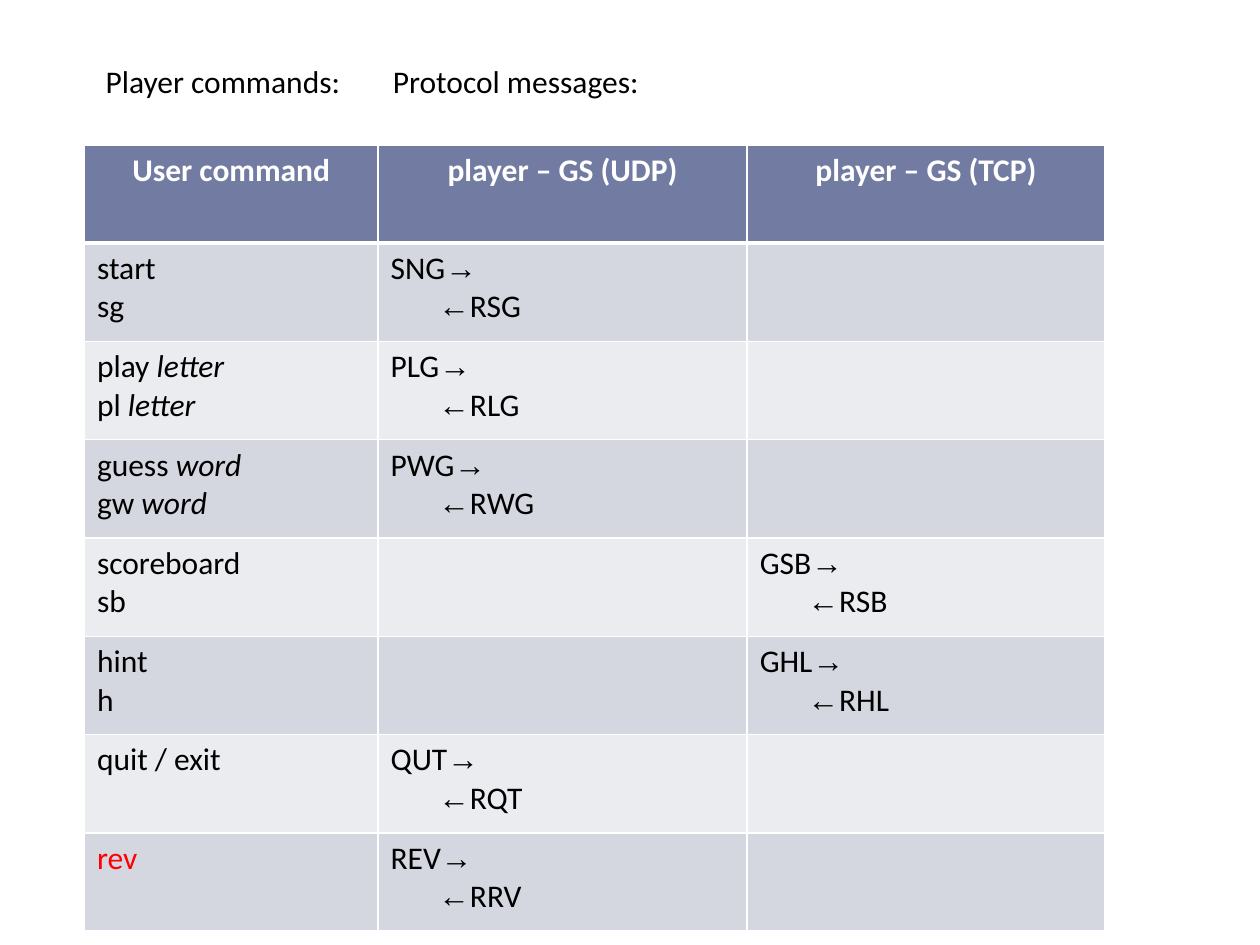
from lxml import etree
from pptx import Presentation
from pptx.dml.color import RGBColor
from pptx.enum import text
from pptx.oxml import ns
from pptx.util import Inches, Pt

WHITE = RGBColor(0xFF, 0xFF, 0xFF)
BLACK = RGBColor(0x00, 0x00, 0x00)
RED = RGBColor(0xFF, 0x00, 0x00)
HEADER = RGBColor(0x72, 0x7C, 0xA3)
BANDS = [RGBColor(0xD5, 0xD7, 0xE0), RGBColor(0xEB, 0xEC, 0xF0)]

COLUMNS = [("User command", 2.33), ("player – GS (UDP)", 2.93), ("player – GS (TCP)", 2.84)]
ROW_HEIGHT = 0.78
UDP, TCP = 1, 2

# Command lines as (word, argument), protocol column, request, reply, colour
COMMANDS = [
    ([("start", ""), ("sg", "")], UDP, "SNG", "RSG", BLACK),
    ([("play ", "letter"), ("pl ", "letter")], UDP, "PLG", "RLG", BLACK),
    ([("guess ", "word"), ("gw ", "word")], UDP, "PWG", "RWG", BLACK),
    ([("scoreboard", ""), ("sb", "")], TCP, "GSB", "RSB", BLACK),
    ([("hint", ""), ("h", "")], TCP, "GHL", "RHL", BLACK),
    ([("quit / exit", "")], UDP, "QUT", "RQT", BLACK),
    ([("rev", "")], UDP, "REV", "RRV", RED),
]


def add_text(p, content, font="Calibri", color=BLACK, bold=False, italic=False):
    r = p.add_run()
    r.text = content
    f = r.font
    f.name, f.size, f.bold, f.italic = font, Pt(18), bold, italic
    f.color.rgb = color


def add_line(parent, tag, **attrs):
    return etree.SubElement(parent, ns.qn(tag), attrs)


def style_cell(cell, fill, top=0.96, bottom=0.96):
    tc_pr = cell._tc.get_or_add_tcPr()
    for side, width in (("L", 0.96), ("R", 0.96), ("T", top), ("B", bottom)):
        ln = add_line(tc_pr, f"a:ln{side}", w=str(Pt(width)))
        solid = add_line(ln, "a:solidFill")
        add_line(solid, "a:srgbClr", val=str(WHITE))
    cell.fill.solid()
    cell.fill.fore_color.rgb = fill


def write_command(cell, lines, color):
    p = cell.text_frame.paragraphs[0]
    for i, (word, argument) in enumerate(lines):
        if i:
            p.add_line_break()
        add_text(p, word, color=color)
        if argument:
            add_text(p, argument, color=color, italic=True)


def write_exchange(cell, request, reply):
    tf = cell.text_frame
    p = tf.paragraphs[0]
    add_text(p, request)
    add_text(p, "→", font="Arial")
    p = tf.add_paragraph()
    p._p.get_or_add_pPr().set("marL", str(Inches(0.38)))
    add_text(p, "←", font="Arial")
    add_text(p, reply)


def add_caption(slide):
    sp = slide.shapes.add_textbox(Inches(0.74), Inches(0.44), Inches(8.11), Inches(0.4))
    tf = sp.text_frame
    tf.word_wrap = True
    tf.auto_size = text.MSO_AUTO_SIZE.SHAPE_TO_FIT_TEXT
    p = tf.paragraphs[0]
    tabs = add_line(p._p.get_or_add_pPr(), "a:tabLst")
    add_line(tabs, "a:tab", pos=str(Inches(2.28)), algn="l")
    add_text(p, "Player commands:\tProtocol messages:")


def add_command_table(slide):
    rows = len(COMMANDS) + 1
    width = sum(w for _, w in COLUMNS)
    table = slide.shapes.add_table(rows, len(COLUMNS), Inches(0.67), Inches(1.15),
                                   Inches(width), Inches(rows * ROW_HEIGHT)).table
    for row in table.rows:
        row.height = Inches(ROW_HEIGHT)

    # Header row
    for c, (title, col_width) in enumerate(COLUMNS):
        table.columns[c].width = Inches(col_width)
        cell = table.cell(0, c)
        style_cell(cell, HEADER, bottom=3)
        p = cell.text_frame.paragraphs[0]
        p.alignment = text.PP_ALIGN.CENTER
        add_text(p, title, color=WHITE, bold=True)

    # One banded row per command
    for i, (lines, protocol, request, reply, color) in enumerate(COMMANDS):
        for c in range(len(COLUMNS)):
            style_cell(table.cell(i + 1, c), BANDS[i % 2], top=0.96 if i else 3)
        write_command(table.cell(i + 1, 0), lines, color)
        write_exchange(table.cell(i + 1, protocol), request, reply)


def main():
    prs = Presentation()
    prs.slide_width, prs.slide_height = Inches(10), Inches(7.5)
    slide = prs.slides.add_slide(prs.slide_layouts[6])
    add_command_table(slide)
    add_caption(slide)
    prs.save("out.pptx")


if __name__ == "__main__":
    main()
